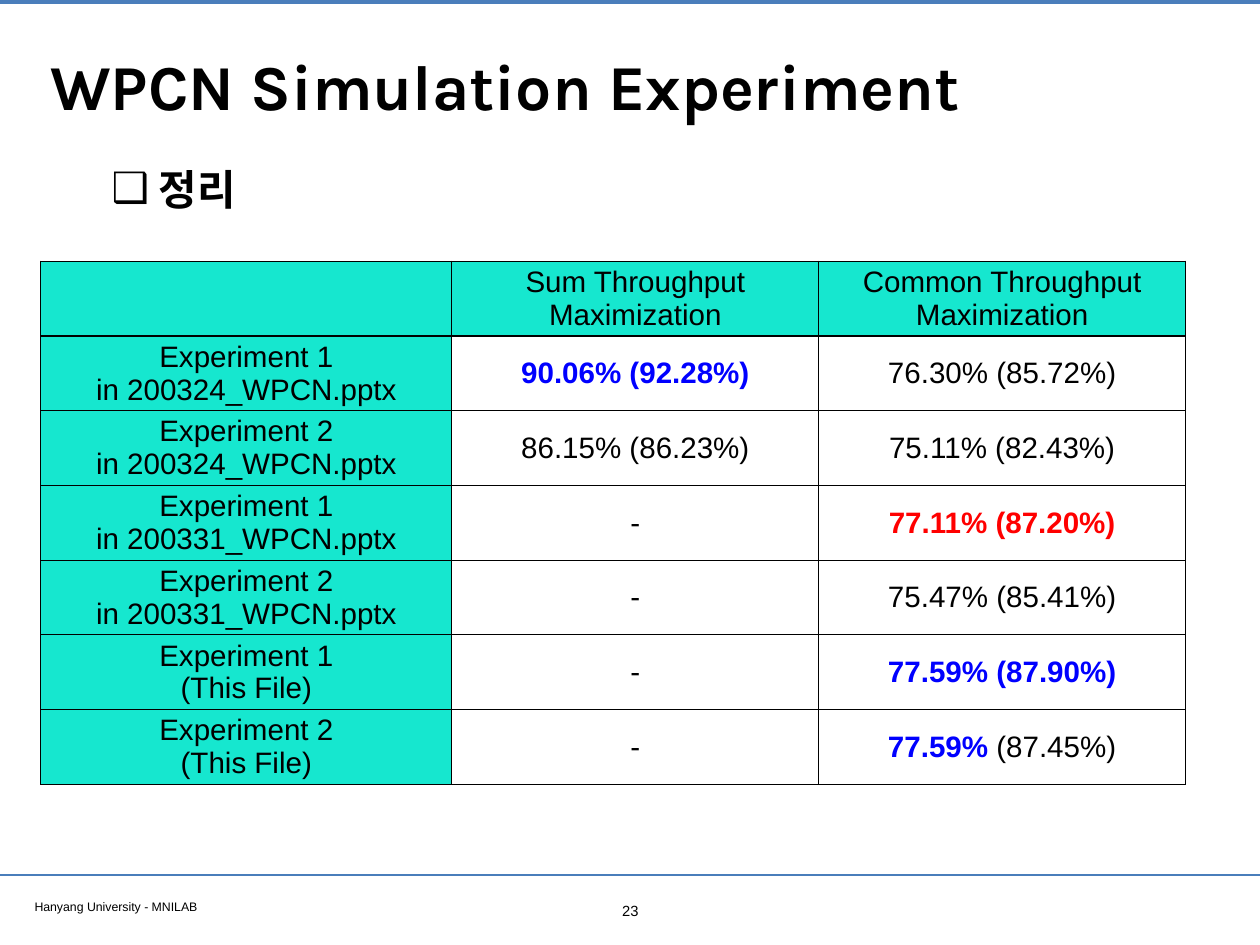
import pptx
import pptx.dml.color
import pptx.enum.shapes
import pptx.enum.text
import pptx.oxml.ns
import pptx.oxml.xmlchemy
import pptx.util
from lxml import etree

RGBColor = pptx.dml.color.RGBColor
BLACK = RGBColor(0x00, 0x00, 0x00)
BLUE = RGBColor(0x00, 0x00, 0xFF)
RED = RGBColor(0xFF, 0x00, 0x00)
TURQUOISE = RGBColor(0x16, 0xE7, 0xCF)
RULE_BLUE = RGBColor(0x4A, 0x7E, 0xBB)

ALIGN = pptx.enum.text.PP_ALIGN
MIDDLE = pptx.enum.text.MSO_ANCHOR.MIDDLE
TOP = pptx.enum.text.MSO_ANCHOR.TOP
EMU_PER_PX = 9144  # 100 px to the inch
WIDTH, HEIGHT = 1422, 1067


def px(length):
    return pptx.util.Emu(length * EMU_PER_PX)


def add_xml(parent, tag, **attributes):
    return etree.SubElement(parent, pptx.oxml.ns.qn(tag), **attributes)


class SlideBuilder:
    font_name = "Arial"
    inset = 6

    def __init__(self, slide):
        self.slide = slide

    def style(self, font, size, color=BLACK, bold=False, name=None):
        font.name = name or self.font_name
        font.size = pptx.util.Pt(size)
        font.bold = bold
        font.color.rgb = color

    def frame(self, shape, text, anchor=TOP):
        """Fill a shape's text frame and return its first paragraph."""
        frame = shape.text_frame
        frame.text = text
        frame.word_wrap = True
        frame.auto_size = pptx.enum.text.MSO_AUTO_SIZE.NONE
        frame.vertical_anchor = anchor
        frame.margin_left = frame.margin_right = px(self.inset)
        frame.margin_top = frame.margin_bottom = px(self.inset)
        return frame.paragraphs[0]

    def place(self, shape, left, top, width, height):
        shape.left, shape.top = px(left), px(top)
        shape.width, shape.height = px(width), px(height)

    def rule(self, y, weight):
        line = self.slide.shapes.add_connector(
            pptx.enum.shapes.MSO_CONNECTOR.STRAIGHT, 0, px(y), px(WIDTH), px(y))
        line.line.color.rgb = RULE_BLUE
        line.line.width = pptx.util.Pt(weight)
        add_xml(line._element.spPr, "a:effectLst")

    def title(self, text, box):
        shape = self.slide.shapes.title
        self.place(shape, *box)
        paragraph = self.frame(shape, text, MIDDLE)
        paragraph.alignment = ALIGN.LEFT
        self.style(paragraph.font, 52, bold=True, name="Karla")

    def bullet(self, text, box):
        shape = self.slide.placeholders[1]
        self.place(shape, *box)
        paragraph = self.frame(shape, text)
        paragraph.line_spacing = 1.2
        paragraph.space_before = pptx.util.Pt(0)
        properties = paragraph._p.get_or_add_pPr()
        properties.set("marL", str(px(53)))
        properties.set("indent", str(px(-53)))
        add_xml(properties, "a:buChar", char="❑")
        self.style(paragraph.font, 34, bold=True, name="Times New Roman")

    def label(self, text, box, size, alignment=ALIGN.LEFT):
        shape = self.slide.shapes.add_textbox(*map(px, box))
        paragraph = self.frame(shape, text)
        paragraph.alignment = alignment
        self.style(paragraph.font, size)

    def table(self, rows, left, top, column_widths, row_height):
        shape = self.slide.shapes.add_table(
            len(rows), len(column_widths), px(left), px(top),
            px(sum(column_widths)), px(row_height * len(rows)))
        table = shape.table
        table.first_row = table.horz_banding = False
        for column, width in zip(table.columns, column_widths):
            column.width = px(width)
        for row_index, row in enumerate(rows):
            table.rows[row_index].height = px(row_height)
            for column_index, content in enumerate(row):
                heading = row_index == 0 or column_index == 0
                self.cell(table.cell(row_index, column_index), content, heading)

    def cell(self, cell, content, heading):
        """Content is plain text, or a list of (text, colour) runs."""
        cell.vertical_anchor = MIDDLE
        if isinstance(content, str):
            cell.text = content
        else:
            for text, color in content:
                run = cell.text_frame.paragraphs[0].add_run()
                run.text = text
                self.style(run.font, 24, color, bold=color != BLACK)
        for paragraph in cell.text_frame.paragraphs:
            paragraph.alignment = ALIGN.CENTER
            if isinstance(content, str):
                self.style(paragraph.font, 24)
        # Borders come before the fill in the cell properties
        properties = cell._tc.get_or_add_tcPr()
        for side in ("a:lnL", "a:lnR", "a:lnT", "a:lnB"):
            border = add_xml(properties, side, w=str(pptx.util.Pt(1)))
            add_xml(add_xml(border, "a:solidFill"), "a:srgbClr", val=str(BLACK))
        if heading:
            cell.fill.solid()
            cell.fill.fore_color.rgb = TURQUOISE
        else:
            cell.fill.background()


RESULTS = [
    ["", "Sum Throughput\nMaximization", "Common Throughput\nMaximization"],
    ["Experiment 1\nin 200324_WPCN.pptx", [("90.06% (92.28%)", BLUE)], "76.30% (85.72%)"],
    ["Experiment 2\nin 200324_WPCN.pptx", "86.15% (86.23%)", "75.11% (82.43%)"],
    ["Experiment 1\nin 200331_WPCN.pptx", "-", [("77.11% (87.20%)", RED)]],
    ["Experiment 2\nin 200331_WPCN.pptx", "-", "75.47% (85.41%)"],
    ["Experiment 1\n(This File)", "-", [("77.59% (87.90%)", BLUE)]],
    ["Experiment 2\n(This File)", "-", [("77.59% ", BLUE), ("(87.45%)", BLACK)]],
]


def main():
    presentation = pptx.Presentation()
    presentation.slide_width, presentation.slide_height = px(WIDTH), px(HEIGHT)
    builder = SlideBuilder(presentation.slides.add_slide(presentation.slide_layouts[1]))

    # Rules and footer
    builder.rule(2, 3.2)
    builder.rule(988, 2)
    builder.label("Hanyang University - MNILAB", (33, 1009, 546, 26), 10)
    builder.label("23", (692, 1012, 39, 31), 12, ALIGN.CENTER)

    # Heading
    builder.title("WPCN Simulation Experiment", (51, 28, 1321, 135))
    builder.bullet("정리", (120, 167, 1267, 438))

    # Results
    builder.table(RESULTS, 46, 295, [464, 414, 414], 84)

    presentation.save("out.pptx")


if __name__ == "__main__":
    main()
